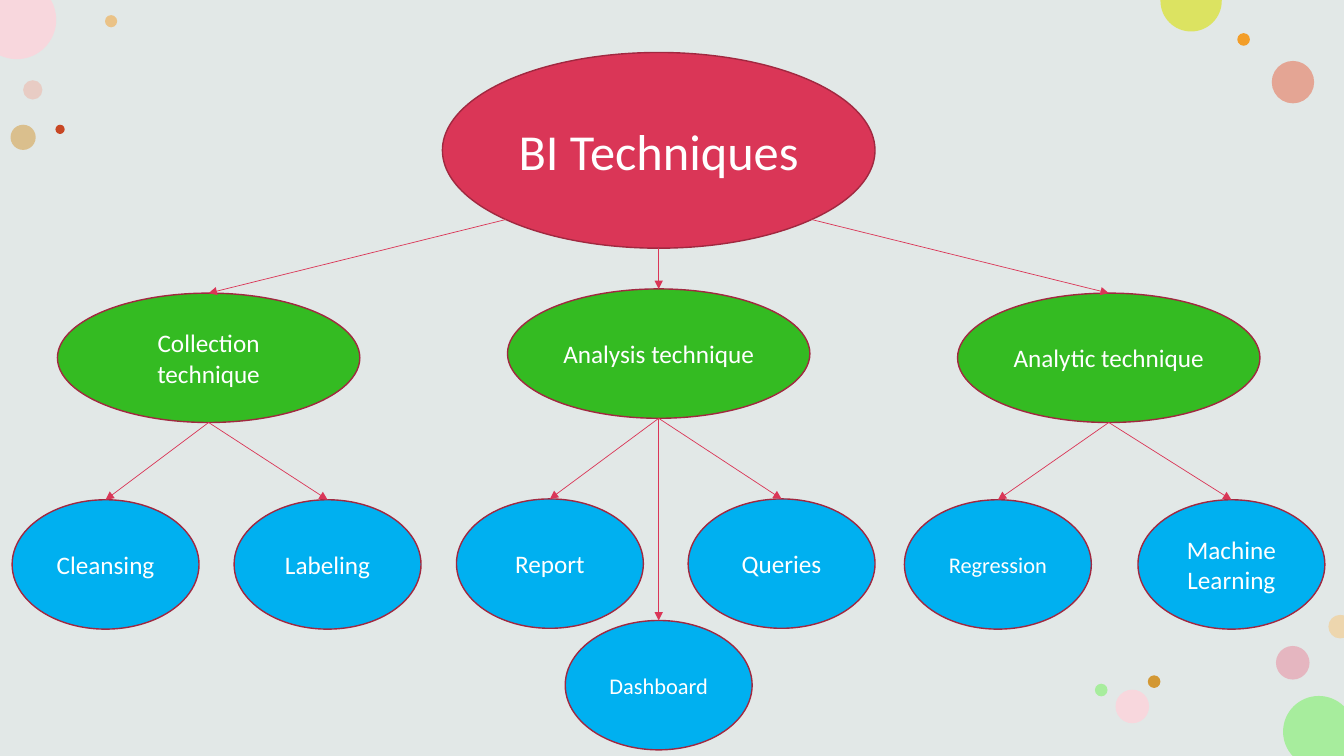
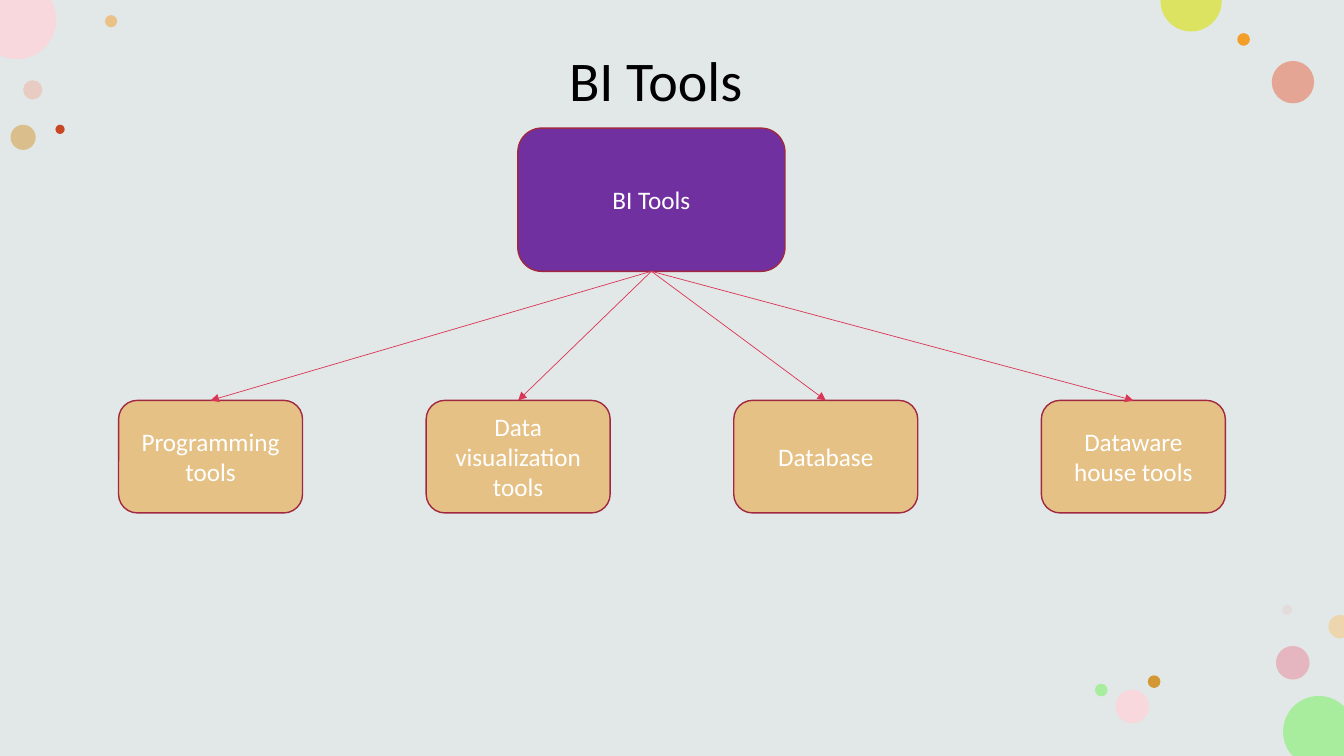
"""Build two slides of tree diagrams on business intelligence techniques and tools."""
import math

import pptx
import pptx.dml.color
import pptx.enum.shapes
import pptx.enum.text
import pptx.oxml.ns
import pptx.util
from lxml import etree

COLUMNS = 160
ROWS = 90
BACKGROUND, ROOT, BORDER = "E2E8E7", "DA3657", "A12840"
WHITE, BLACK = "FFFFFF", "000000"
FONT = "Calibri"
OVAL = pptx.enum.shapes.MSO_SHAPE.OVAL
RECTANGLE = pptx.enum.shapes.MSO_SHAPE.RECTANGLE
ROUNDED = pptx.enum.shapes.MSO_SHAPE.ROUNDED_RECTANGLE
name_of = pptx.oxml.ns.qn

presentation = pptx.Presentation()
presentation.slide_width = pptx.util.Emu(12192000)
presentation.slide_height = pptx.util.Emu(6858000)
cell = presentation.slide_width / COLUMNS


def grid(*units):
    """Turn counts of square grid cells into lengths."""
    return [pptx.util.Emu(round(unit * cell)) for unit in units]


def paint(fill, colour):
    """Give a fill one solid colour."""
    fill.solid()
    fill.fore_color.rgb = pptx.dml.color.RGBColor.from_string(colour)


master = presentation.slide_master
paint(master.background.fill, WHITE)
techniques = presentation.slides.add_slide(presentation.slide_layouts[6])
tools = presentation.slides.add_slide(presentation.slide_layouts[5])

dots = [
    (2.75, 9.55, 2.3, "EEB2A2", 50),
    (12.5, 1.8, 1.45, "F39E29", 50),
    (151.9, 76.9, 4, "E9869A", 50),
    (1.25, 14.85, 3, "D39834", 50),
    (151.4, 7.25, 5.05, "E68C74", 72),
    (147.3, 3.95, 1.5, "F39E29", 100),
    (152.65, 72, 1.2, "E3BEBE", 28),
    (136.65, 80.4, 1.5, "D39834", 100),
    (132.8, 82.1, 4, "F8D7DD", 100),
    (130.35, 81.4, 1.5, "A7ED9D", 100),
    (6.6, 14.85, 1.1, "C84724", 100),
]
edge_circles = [
    (157, 87.1, 4.25, "A7ED9D", (137, 180, 270, 315), [(COLUMNS, ROWS)]),
    (2, 2.35, 4.7, "F8D7DD", (-30, 0, 90, 115.2), [(0, 0)]),
    (141.8, 0.1, 3.65, "DCE361", (-1.6, 0, 90, 180, 181.6), []),
    (159.55, 74.6, 1.4, "EDD6AE", (71.2, 90, 180, 270, 288.8), []),
]

backdrop = techniques.shapes.add_shape(RECTANGLE, *grid(0, 0, COLUMNS, ROWS))
decorations = [(backdrop, BACKGROUND, 100)]
for left, top, diameter, colour, opacity in dots:
    shape = techniques.shapes.add_shape(OVAL, *grid(left, top, diameter, diameter))
    decorations.append((shape, colour, opacity))

for centre, middle, radius, colour, degrees, corners in edge_circles:
    angles = [math.radians(degree) for degree in degrees]
    points = [(min(max(centre + radius * math.cos(angle), 0), COLUMNS),
               min(max(middle + radius * math.sin(angle), 0), ROWS))
              for angle in angles]
    outline = techniques.shapes.build_freeform(*grid(*points[0]))
    outline.add_line_segments([grid(*point) for point in points[1:] + corners])
    shape = outline.convert_to_shape()
    sides = shape.element.spPr.findall(".//" + name_of("a:lnTo"))
    for index, side in enumerate(sides[:len(angles) - 1]):
        begin, end = angles[index:index + 2]
        reach = radius * 4 / 3 * math.tan((end - begin) / 4)
        handles = [(points[index], begin, reach), (points[index + 1], end, -reach)]
        side.tag = name_of("a:cubicBezTo")
        for place, ((across, down), angle, pull) in enumerate(handles):
            handle = etree.Element(name_of("a:pt"))
            handle_left, handle_top = grid(across - pull * math.sin(angle),
                                           down + pull * math.cos(angle))
            handle.set("x", str(handle_left - shape.left))
            handle.set("y", str(handle_top - shape.top))
            side.insert(place, handle)
    decorations.append((shape, colour, 100))

for number, (shape, colour, opacity) in enumerate(decorations, start=100):
    paint(shape.fill, colour)
    shape.line.fill.background()
    shape.shadow.inherit = False
    if opacity < 100:
        tint = shape.element.spPr.find(".//" + name_of("a:srgbClr"))
        etree.SubElement(tint, name_of("a:alpha")).set("val", str(opacity * 1000))
    shape.element.nvSpPr.cNvPr.set("id", str(number))
    master.shapes.element.append(shape.element)

title = tools.shapes.title
title.text_frame.text = "BI Tools"
left, top, width, height = grid(66.55, 4.85, 26.88, 9.24)
title_formats = [
    (title, {"left": left, "top": top, "width": width, "height": height}),
    (title.text_frame, {"vertical_anchor": pptx.enum.text.MSO_ANCHOR.TOP,
                        "auto_size": pptx.enum.text.MSO_AUTO_SIZE.NONE}),
    (title.text_frame.paragraphs[0], {"alignment": pptx.enum.text.PP_ALIGN.LEFT}),
    (title.text_frame.paragraphs[0].runs[0].font,
     {"name": FONT, "size": pptx.util.Pt(40)}),
]
for target, values in title_formats:
    for attribute, value in values.items():
        setattr(target, attribute, value)
paint(title.text_frame.paragraphs[0].runs[0].font.fill, BLACK)

styles = {
    "root": (techniques, OVAL, 51.5, 23.3, ROOT),
    "branch": (techniques, OVAL, 36, 15.4, "34BB22"),
    "leaf": (techniques, OVAL, 22.25, 15.4, "00B0F0"),
    "toolbox": (tools, ROUNDED, 31.8, 17.05, "7030A0"),
    "tool": (tools, ROUNDED, 21.9, 13.4, "E5C185"),
}
axis, branch_gap = 78.42, 53.58
nodes = [
    ("root", "BI Techniques", axis, 6.25, 36, None),
    ("branch", "Collection technique", axis - branch_gap, 34.9, 18, "BI Techniques"),
    ("branch", "Analysis technique", axis, 34.4, 18, "BI Techniques"),
    ("branch", "Analytic technique", axis + branch_gap, 34.9, 18, "BI Techniques"),
    ("leaf", "Cleansing", 12.57, 59.5, 18, "Collection technique"),
    ("leaf", "Labeling", 39, 59.5, 18, "Collection technique"),
    ("leaf", "Report", 65.47, 59.4, 18, "Analysis technique"),
    ("leaf", "Queries", 93.05, 59.4, 18, "Analysis technique"),
    ("leaf", "Regression", 118.8, 59.5, 16, "Analytic technique"),
    ("leaf", "Machine Learning", 146.6, 59.5, 18, "Analytic technique"),
    ("leaf", "Dashboard", axis, 73.87, 16, "Analysis technique"),
    ("toolbox", "BI Tools", 77.55, 15.25, 18, None),
]
tool_names = ["Programming tools", "Data visualization tools", "Database",
              "Dataware house tools"]
for position, text in enumerate(tool_names):
    nodes.append(("tool", text, 25.07 + 36.62 * position, 47.67, 18, "BI Tools"))

placed = {}
for style, text, centre, top, size, parent in nodes:
    slide, kind, width, height, colour = styles[style]
    shape = slide.shapes.add_shape(kind, *grid(centre - width / 2, top, width, height))
    shape.shadow.inherit = False
    paint(shape.fill, colour)
    paint(shape.line.fill, BORDER)
    shape.text_frame.text = text
    paragraph = shape.text_frame.paragraphs[0]
    font = paragraph.runs[0].font
    paint(font.fill, WHITE)
    node_formats = [
        (shape.line, {"width": pptx.util.Pt(1)}),
        (shape.text_frame, {"word_wrap": True,
                            "vertical_anchor": pptx.enum.text.MSO_ANCHOR.MIDDLE}),
        (paragraph, {"alignment": pptx.enum.text.PP_ALIGN.CENTER}),
        (font, {"name": FONT, "size": pptx.util.Pt(size)}),
    ]
    for target, values in node_formats:
        for attribute, value in values.items():
            setattr(target, attribute, value)
    placed[text] = (shape, style, centre, top)
    if parent is None:
        continue

    parent_shape, parent_style, parent_centre, parent_top = placed[parent]
    parent_width, parent_height = styles[parent_style][2:4]
    direction = (centre > parent_centre) - (centre < parent_centre)
    angle = math.radians(45 * direction) if parent_style == "root" else 0
    start_across = parent_centre + parent_width / 2 * math.sin(angle)
    start_down = parent_top + parent_height / 2 * (1 + math.cos(angle))
    connector = slide.shapes.add_connector(
        pptx.enum.shapes.MSO_CONNECTOR.STRAIGHT,
        *grid(start_across, start_down, centre, top))
    if parent_style == "toolbox":
        connector.begin_connect(parent_shape, 2)
    connector.end_connect(shape, 0)
    paint(connector.line.fill, ROOT)
    connector.line.width = pptx.util.Pt(0.5)
    properties = connector.element.spPr
    arrowhead = etree.SubElement(properties.find(name_of("a:ln")), name_of("a:tailEnd"))
    arrowhead.set("type", "triangle")
    etree.SubElement(properties, name_of("a:effectLst"))

presentation.save("out.pptx")
